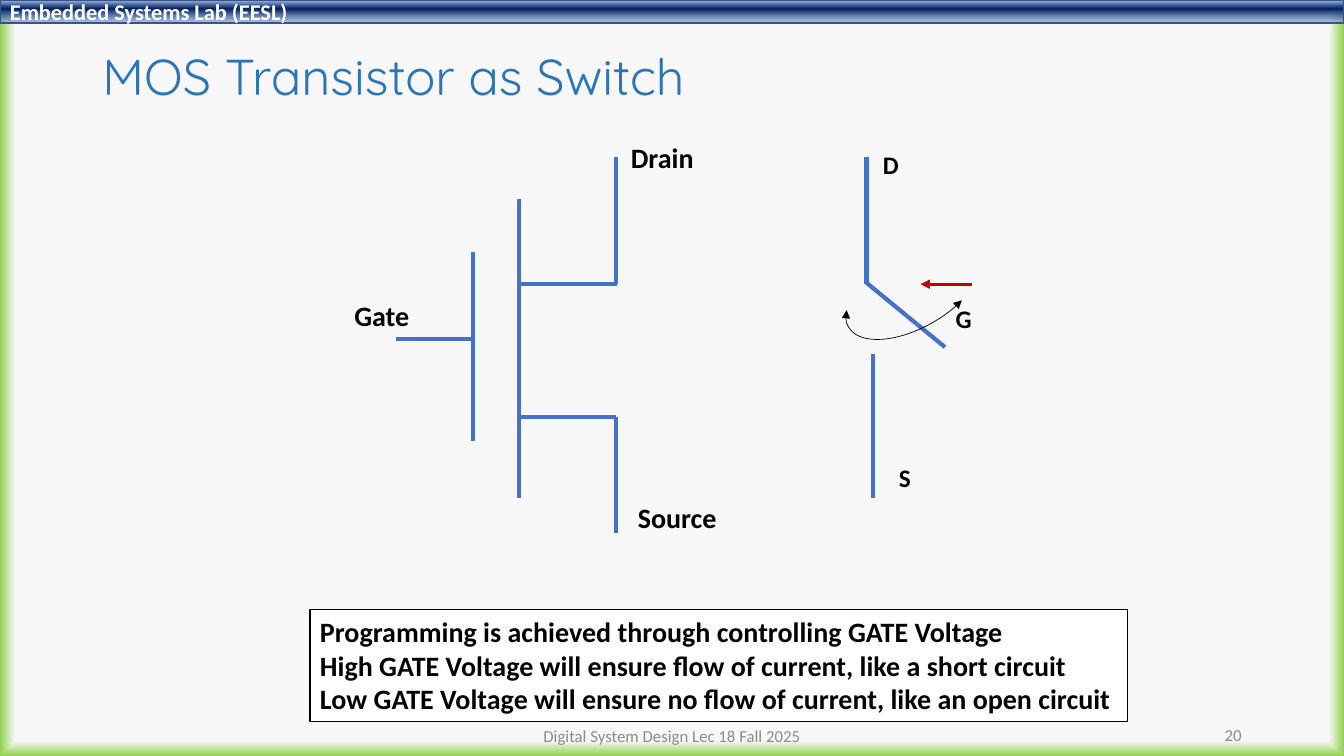
import pptx
import pptx.util
import pptx.oxml
import pptx.oxml.ns
import pptx.dml.color
import pptx.enum.shapes
import pptx.enum.text

Pt = pptx.util.Pt
RGB = pptx.dml.color.RGBColor
SHAPE = pptx.enum.shapes.MSO_SHAPE
ALIGN = pptx.enum.text.PP_ALIGN
MIDDLE = pptx.enum.text.MSO_ANCHOR.MIDDLE
qn = pptx.oxml.ns.qn
NS = pptx.oxml.ns.nsdecls("a", "p")

WHITE = RGB(0xFF, 0xFF, 0xFF)
BLACK = RGB(0, 0, 0)
GRAY = RGB(0x8C, 0x8C, 0x8C)
BLUE = RGB(0x44, 0x72, 0xC4)
RED = RGB(0xC0, 0, 0)
TITLE = RGB(0x2E, 0x75, 0xB6)
EDGE = RGB(0x32, 0x54, 0x91)
PAPER = RGB(0xF7, 0xF7, 0xF7)
GREEN = RGB(0x92, 0xD0, 0x50)
PALE = RGB(0xAB, 0xC0, 0xE4)
NAVY = RGB(0, 0x20, 0x60)
MIST = RGB(0x7E, 0x9E, 0xD6)


def grad(stops, way):
    """Return gradient fill XML from (percent, colour, opacity) stops."""
    marks = "".join(
        f'<a:gs pos="{pos * 1000}"><a:srgbClr val="{color}">'
        f'<a:alpha val="{alpha * 1000}"/></a:srgbClr></a:gs>'
        for pos, color, alpha in stops)
    return f'<a:gradFill {NS} rotWithShape="1"><a:gsLst>{marks}</a:gsLst>{way}</a:gradFill>'


def write(shape, text, size, color, bold=True, align=ALIGN.LEFT, face="Calibri"):
    frame = shape.text_frame
    frame.text = text
    look = {"name": face, "size": Pt(size), "bold": bold}
    for para in frame.paragraphs:
        para.alignment = align
        for run in para.runs:
            for key, value in look.items():
                setattr(run.font, key, value)
            run.font.color.rgb = color


def label(slide, text, x, y, w, h, size=20, color=BLACK, **look):
    box = slide.shapes.add_textbox(Pt(x), Pt(y), Pt(w), Pt(h))
    write(box, text, size, color, **look)
    return box


def stroke(shape, color, width, ends=()):
    shape.line.color.rgb = color
    shape.line.width = Pt(width)
    line = shape.element.spPr.find(qn("a:ln"))
    for end in ends:
        line.append(pptx.oxml.parse_xml(f'<a:{end} {NS} type="triangle"/>'))


def wire(slide, x1, y1, x2, y2, color=BLUE, width=3, ends=()):
    link = slide.shapes.add_connector(
        pptx.enum.shapes.MSO_CONNECTOR.STRAIGHT, Pt(x1), Pt(y1), Pt(x2), Pt(y2))
    stroke(link, color, width, ends)
    link.element.spPr.append(pptx.oxml.parse_xml(f"<a:effectLst {NS}/>"))


def block(slide, kind, x, y, w, h):
    shape = slide.shapes.add_shape(kind, Pt(x), Pt(y), Pt(w), Pt(h))
    shape.shadow.inherit = False
    return shape


def backdrop(slide):
    way = '<a:path path="shape"><a:fillToRect l="50000" t="50000" r="50000" b="50000"/></a:path>'
    fill = grad([(96, PAPER, 100), (100, GREEN, 100)], way)
    slide.element.cSld.insert(0, pptx.oxml.parse_xml(
        f"<p:bg {NS}><p:bgPr>{fill}<a:effectLst/></p:bgPr></p:bg>"))


def banner(slide, x, y, w, h):
    bar = block(slide, SHAPE.RECTANGLE, x, y, w, h)
    bar.fill.solid()
    props = bar.element.spPr
    stops = [(2, PALE, 100), (38, NAVY, 100), (93, MIST, 64)]
    fill = pptx.oxml.parse_xml(grad(stops, '<a:lin ang="5400000" scaled="0"/>'))
    props.replace(props.find(qn("a:solidFill")), fill)
    stroke(bar, EDGE, 1)
    bar.text_frame.vertical_anchor = MIDDLE
    write(bar, "Embedded Systems Lab (EESL)", 16, WHITE)


def heading(slide, x, y, w, h):
    title = slide.shapes.title
    place = {"left": x, "top": y, "width": w, "height": h}
    for key, value in place.items():
        setattr(title, key, Pt(value))
    write(title, "MOS Transistor as Switch", 36, TITLE, bold=False, face="Quicksand")
    title.text_frame.vertical_anchor = MIDDLE
    title.text_frame.paragraphs[0].line_spacing = 0.9


def mosfet(slide, x, y):
    wires = [
        (125, 45, 125, 259),   # channel
        (92, 83, 92, 218),     # gate plate
        (125, 106, 195, 106),  # drain
        (194, 106, 194, 15),
        (124, 201, 194, 201),  # source
        (194, 201, 194, 284),
        (92, 145, 37, 145),    # gate lead
    ]
    for x1, y1, x2, y2 in wires:
        wire(slide, x + x1, y + y1, x + x2, y + y2)
    names = [("Drain", 197.5, 0, 60), ("Source", 202.5, 257, 71), ("Gate", 0, 113, 54)]
    for name, dx, dy, w in names:
        label(slide, name, x + dx, y + dy, w, 32).text_frame.word_wrap = False


def switch(slide, x, y):
    for x1, y1, x2, y2 in [(20, 9, 20, 100), (20, 99, 76, 145), (24.5, 150, 24.5, 253)]:
        wire(slide, x + x1, y + y1, x + x2, y + y2)
    for name, dx, dy, w in [("D", 24.5, 0, 26), ("G", 76.5, 110, 26), ("S", 36, 224, 23)]:
        label(slide, name, x + dx, y + dy, w, 29, 18).text_frame.word_wrap = False
    swing = block(slide, SHAPE.ARC, x, y + 77, 107.3, 54)
    swing.rotation = 150.2
    swing.adjustments[0] = 133.24
    swing.adjustments[1] = 7.79
    swing.fill.background()
    stroke(swing, BLACK, 0.5, ("headEnd", "tailEnd"))
    wire(slide, x + 95, y + 100, x + 58.5, y + 100, RED, 2.25, ("tailEnd",))


def summary(slide, x, y, w, h):
    box = block(slide, SHAPE.RECTANGLE, x, y, w, h)
    box.fill.solid()
    box.fill.fore_color.rgb = WHITE
    stroke(box, BLACK, 1)
    box.text_frame.word_wrap = True
    box.text_frame.vertical_anchor = pptx.enum.text.MSO_ANCHOR.TOP
    write(box, "Programming is achieved through controlling GATE Voltage\n"
               "High GATE Voltage will ensure flow of current, like a short circuit\n"
               "Low GATE Voltage will ensure no flow of current, like an open circuit",
          20, BLACK)


def footer(slide, x, y, w, h):
    parts = [("Digital System Design Lec 18 Fall 2025", x, y + 0.7, 324, ALIGN.CENTER),
             ("20", x + w - 216, y, 216, ALIGN.RIGHT)]
    for text, left, top, width, align in parts:
        box = label(slide, text, left, top, width, h, 12, GRAY, bold=False, align=align)
        box.text_frame.word_wrap = True
        box.text_frame.vertical_anchor = MIDDLE


def main():
    deck = pptx.Presentation()
    deck.slide_width, deck.slide_height = Pt(960), Pt(540)
    slide = deck.slides.add_slide(deck.slide_layouts.get_by_name("Title Only"))
    backdrop(slide)
    banner(slide, 0, 0, 960, 16.5)
    heading(slide, 66, 29, 828, 55)
    mosfet(slide, 246, 97)
    switch(slide, 599, 103)
    summary(slide, 221.5, 435.5, 584, 80)
    footer(slide, 318, 510.5, 576, 29)
    deck.save("out.pptx")


if __name__ == "__main__":
    main()
